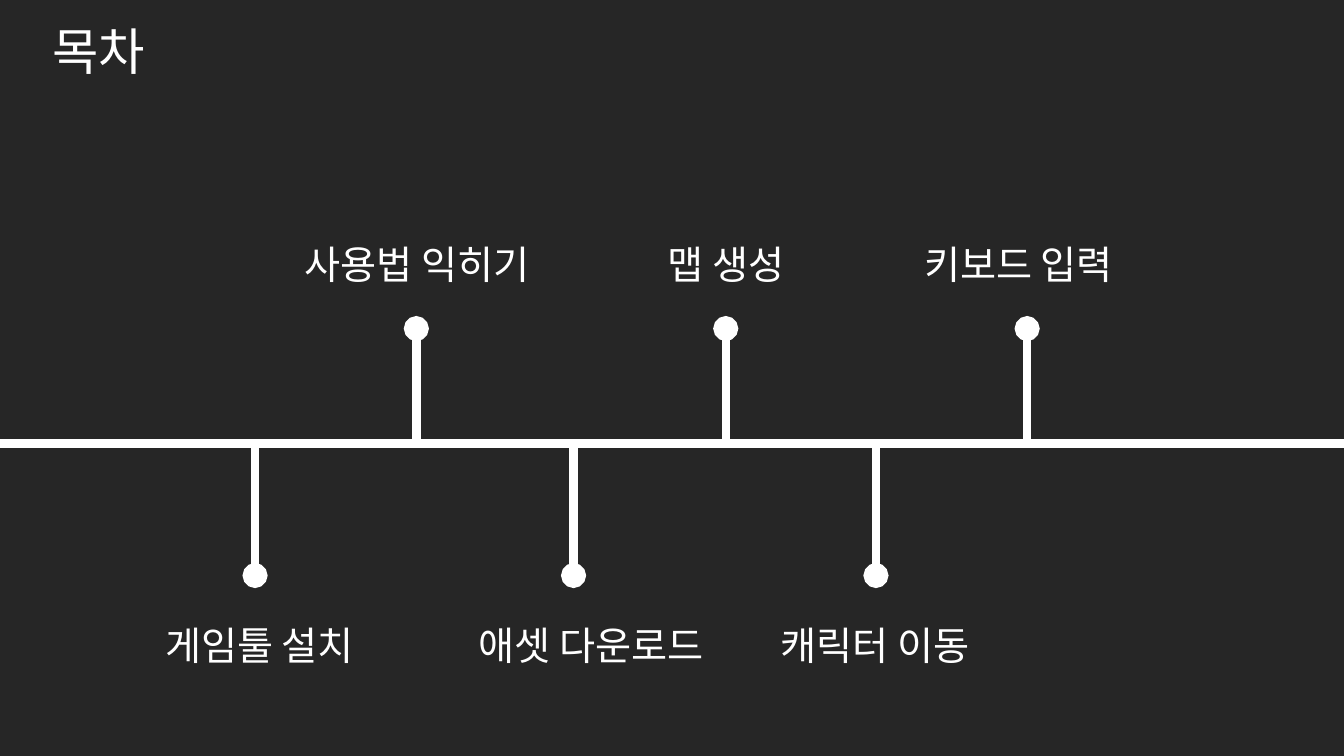
from lxml.etree import SubElement
from pptx import Presentation
from pptx.dml.color import RGBColor
from pptx.enum.shapes import MSO_CONNECTOR
from pptx.enum.text import MSO_AUTO_SIZE, PP_ALIGN
from pptx.oxml.ns import qn
from pptx.util import Pt

TITLE = "목차"
STEPS = [
    ("게임툴 설치", 182.2, 185.4),
    ("사용법 익히기", 297.4, 297.7),
    ("애셋 다운로드", 409.7, 422.3),
    ("맵 생성", 518.4, 518.8),
    ("캐릭터 이동", 625.7, 625.3),
    ("키보드 입력", 733.7, 727.6),
]

DARK = RGBColor(0x26, 0x26, 0x26)
WHITE = RGBColor(0xFF, 0xFF, 0xFF)
FACE = "Noto Sans CJK KR"
WIDE, HIGH = 960, 540
AXIS = 316.8
SIDES = [(411.1, 440.6), (234.7, 167.8)]
FRAME = {"word_wrap": True, "auto_size": MSO_AUTO_SIZE.SHAPE_TO_FIT_TEXT}


def apply(item, style):
    for key, value in style.items():
        setattr(item, key, value)


def label(slide, text, mid, top, width, height, size):
    box = slide.shapes.add_textbox(Pt(mid - width / 2), Pt(top), Pt(width), Pt(height))
    apply(box.text_frame, FRAME)
    para = box.text_frame.paragraphs[0]
    para.alignment = PP_ALIGN.CENTER
    run = para.add_run()
    run.text = text
    apply(run.font, {"size": Pt(size), "name": FACE})
    run.font.color.rgb = WHITE
    SubElement(run.font._element, qn("a:ea"), typeface=FACE)


def stroke(slide, start, end, dot=False):
    line = slide.shapes.add_connector(
        MSO_CONNECTOR.STRAIGHT, *[Pt(n) for n in (*start, *end)])
    line.line.color.rgb = WHITE
    line.line.width = Pt(6)
    props = line._element.spPr
    if dot:
        SubElement(props.find(qn("a:ln")), qn("a:tailEnd"), type="oval")
    SubElement(props, qn("a:effectLst"))


def main():
    deck = Presentation()
    apply(deck, {"slide_width": Pt(WIDE), "slide_height": Pt(HIGH)})
    slide = deck.slides.add_slide(deck.slide_layouts[6])
    fill = slide.background.fill
    fill.solid()
    fill.fore_color.rgb = DARK

    label(slide, TITLE, 70.6, 10.8, 292.3, 51.1, 36)
    stroke(slide, (0, AXIS), (WIDE, AXIS))
    for num, (text, stem, mid) in enumerate(STEPS):
        tip, top = SIDES[num % 2]
        stroke(slide, (stem, AXIS), (stem, tip), dot=True)
        label(slide, text, mid, top, 200, 41, 28)
    deck.save("out.pptx")


if __name__ == "__main__":
    main()
